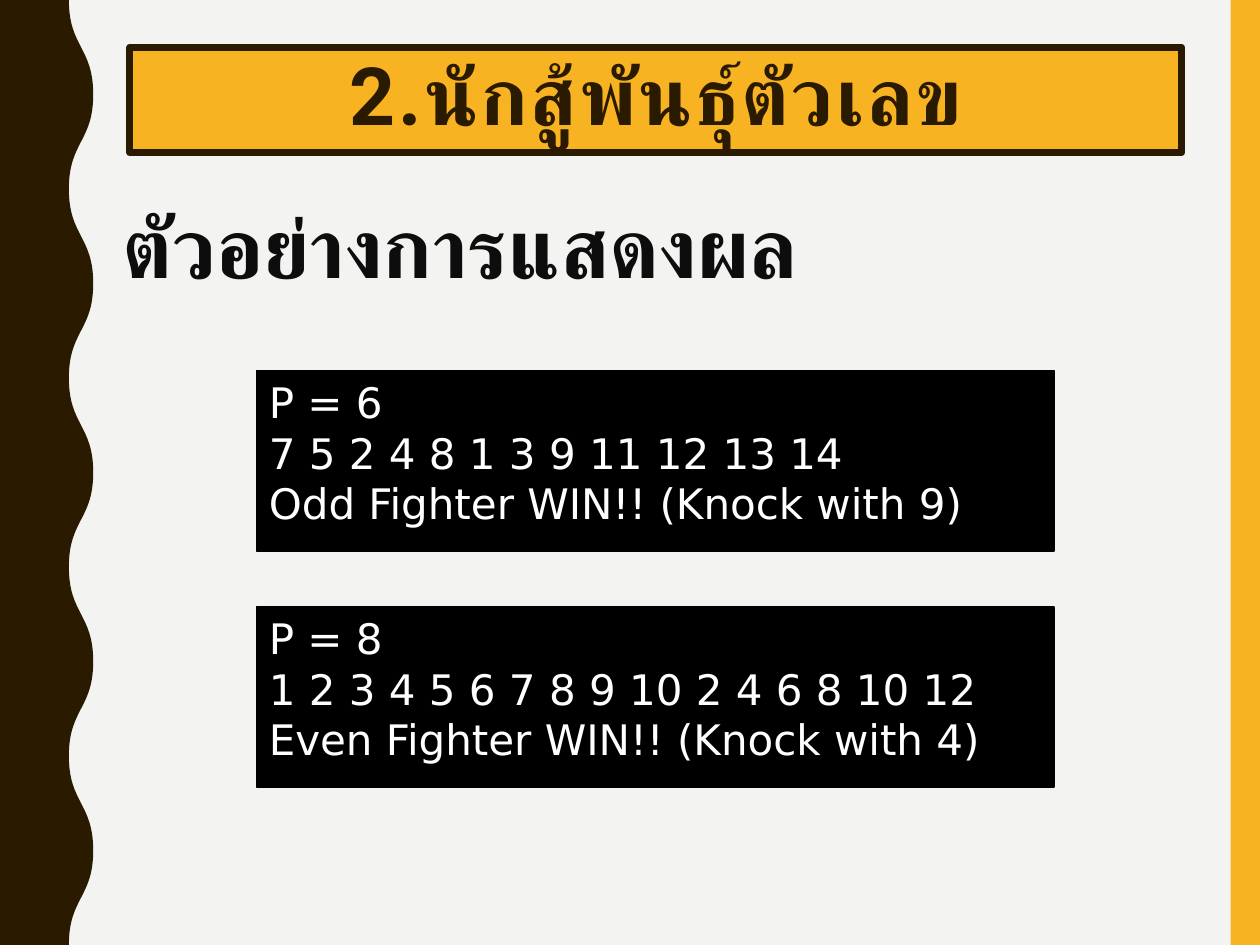
from pptx import Presentation
from pptx.dml.color import RGBColor
from pptx.enum.shapes import MSO_SHAPE
from pptx.enum.text import MSO_ANCHOR, MSO_AUTO_SIZE, PP_ALIGN
from pptx.oxml import parse_xml
from pptx.oxml.ns import nsdecls, qn
from pptx.util import Cm, Pt

RECT = MSO_SHAPE.RECTANGLE
TOP, MID = MSO_ANCHOR.TOP, MSO_ANCHOR.MIDDLE
LEFT, MIDDLE = PP_ALIGN.LEFT, PP_ALIGN.CENTER
FIXED = MSO_AUTO_SIZE.NONE
GOLD = RGBColor(0xF8, 0xB3, 0x23)
BROWN = RGBColor(0x2A, 0x1A, 0x00)
PAPER = RGBColor(0xF3, 0xF3, 0xF2)
INK = RGBColor(0x0D, 0x0D, 0x0D)
BLACK = RGBColor(0, 0, 0)
WHITE = RGBColor(255, 255, 255)

TITLE = "2.นักสู้พันธุ์ตัวเลข"
HEAD = "ตัวอย่างการแสดงผล"
RUNS = [
    ["P = 6", "7 5 2 4 8 1 3 9 11 12 13 14", "Odd Fighter WIN!! (Knock with 9)"],
    ["P = 8", "1 2 3 4 5 6 7 8 9 10 2 4 6 8 10 12", "Even Fighter WIN!! (Knock with 4)"],
]

WIDE, HIGH = 25.4, 19.05
STRIP = 0.59
NEAR, FAR, BENDS = 1.39, 1.88, 10
BOX_X, BOX_Y, BOX_W, BOX_H, PITCH = 5.17, 7.47, 16.08, 3.64, 4.76

TITLE_FONT = {"name": "Roboto", "size": Pt(45.9), "bold": True}
HEAD_FONT = {"name": "Roboto", "size": Pt(48), "bold": True}
CODE_FONT = {"name": "DejaVu Sans", "size": Pt(24), "bold": False}
TITLE_PARA = {"alignment": MIDDLE, "line_spacing": 0.9, "space_before": Pt(0)}
HEAD_PARA = {"alignment": LEFT, "line_spacing": 1.1, "space_before": Pt(7)}
CODE_PARA = {"alignment": LEFT}


def apply(item, look):
    for key, value in look.items():
        setattr(item, key, value)


def write(shape, lines, font, para, color, anchor=TOP):
    frame = shape.text_frame
    frame.text = "\n".join(lines)
    apply(frame, {"word_wrap": True, "auto_size": FIXED, "vertical_anchor": anchor})
    for part in frame.paragraphs:
        apply(part, para)
        for run in part.runs:
            apply(run.font, font)
            run.font.color.rgb = color


def paint(shape, fill, line=None, width=1):
    shape.fill.solid()
    shape.fill.fore_color.rgb = fill
    if line is None:
        shape.line.fill.background()
    else:
        shape.line.color.rgb = line
        shape.line.width = Pt(width)


def add_rect(shapes, x, y, w, h, *look):
    box = shapes.add_shape(RECT, Cm(x), Cm(y), Cm(w), Cm(h))
    box.shadow.inherit = False
    paint(box, *look)
    return box


def add_wave(shapes):
    tall = HIGH / BENDS
    knots = [(Cm((NEAR, FAR)[i % 2]), Cm(i * tall)) for i in range(BENDS + 1)]
    edge = shapes.build_freeform(Cm(0), Cm(0))
    edge.add_line_segments([*knots, (Cm(0), Cm(HIGH))])
    wave = edge.convert_to_shape()
    wave.shadow.inherit = False
    paint(wave, BROWN)
    sides = list(wave._element.iter(qn("a:lnTo")))[1:BENDS + 1]
    for side, (x, y), (end, low) in zip(sides, knots, knots[1:]):
        half = (y + low) // 2
        dots = "".join(f'<a:pt x="{a}" y="{b}"/>' for a, b in [(x, half), (end, half), (end, low)])
        curve = parse_xml(f'<a:cubicBezTo {nsdecls("a")}>{dots}</a:cubicBezTo>')
        side.getparent().replace(side, curve)


def set_title(shapes):
    title = shapes.title
    apply(title, {"left": Cm(2.62), "top": Cm(0.95), "width": Cm(21.2), "height": Cm(2.13)})
    title._element.spPr.append(parse_xml(
        f'<a:prstGeom {nsdecls("a")} prst="round2DiagRect"><a:avLst>'
        '<a:gd name="adj1" fmla="val 0"/><a:gd name="adj2" fmla="val 0"/>'
        '</a:avLst></a:prstGeom>'))
    paint(title, GOLD, BROWN, 4)
    title.line._ln.append(parse_xml(f'<a:round {nsdecls("a")}/>'))
    write(title, [TITLE], TITLE_FONT, TITLE_PARA, BROWN, MID)
    title.text_frame.paragraphs[0].runs[0].font._element.set("spc", "150")
    shapes._spTree.append(title._element)


def main():
    deck = Presentation()
    apply(deck, {"slide_width": Cm(WIDE), "slide_height": Cm(HIGH)})
    slide = deck.slides.add_slide(deck.slide_layouts[5])
    back = slide.background.fill
    back.solid()
    back.fore_color.rgb = PAPER
    shapes = slide.shapes

    add_rect(shapes, WIDE - STRIP, 0, STRIP, HIGH, GOLD)
    add_wave(shapes)
    set_title(shapes)
    head = shapes.add_textbox(Cm(2.22), Cm(3.59), Cm(21.36), Cm(15.01))
    write(head, [HEAD], HEAD_FONT, HEAD_PARA, INK)
    for row, lines in enumerate(RUNS):
        box = add_rect(shapes, BOX_X, BOX_Y + row * PITCH, BOX_W, BOX_H, BLACK, BLACK)
        write(box, lines, CODE_FONT, CODE_PARA, WHITE)
    deck.save("out.pptx")


if __name__ == "__main__":
    main()
